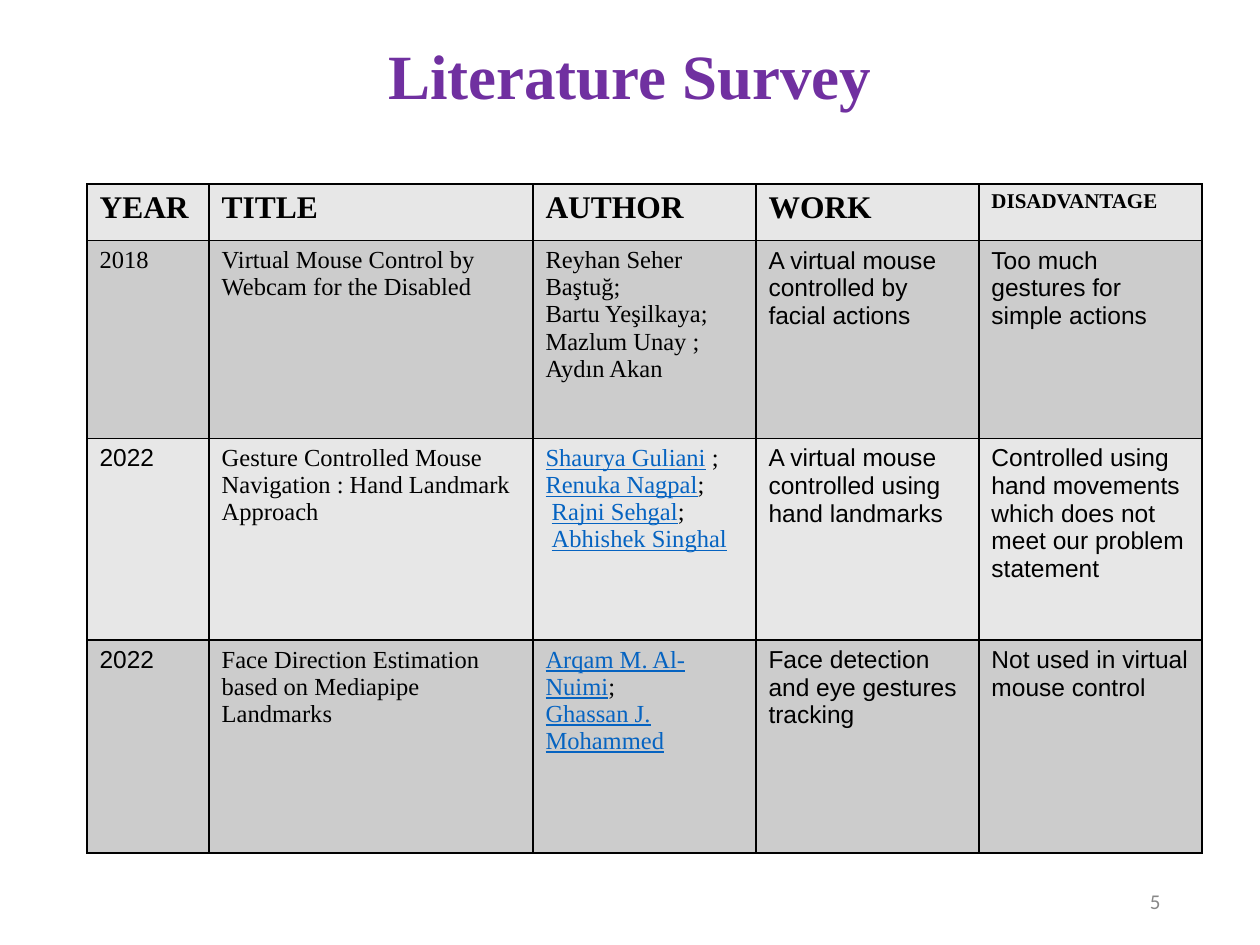
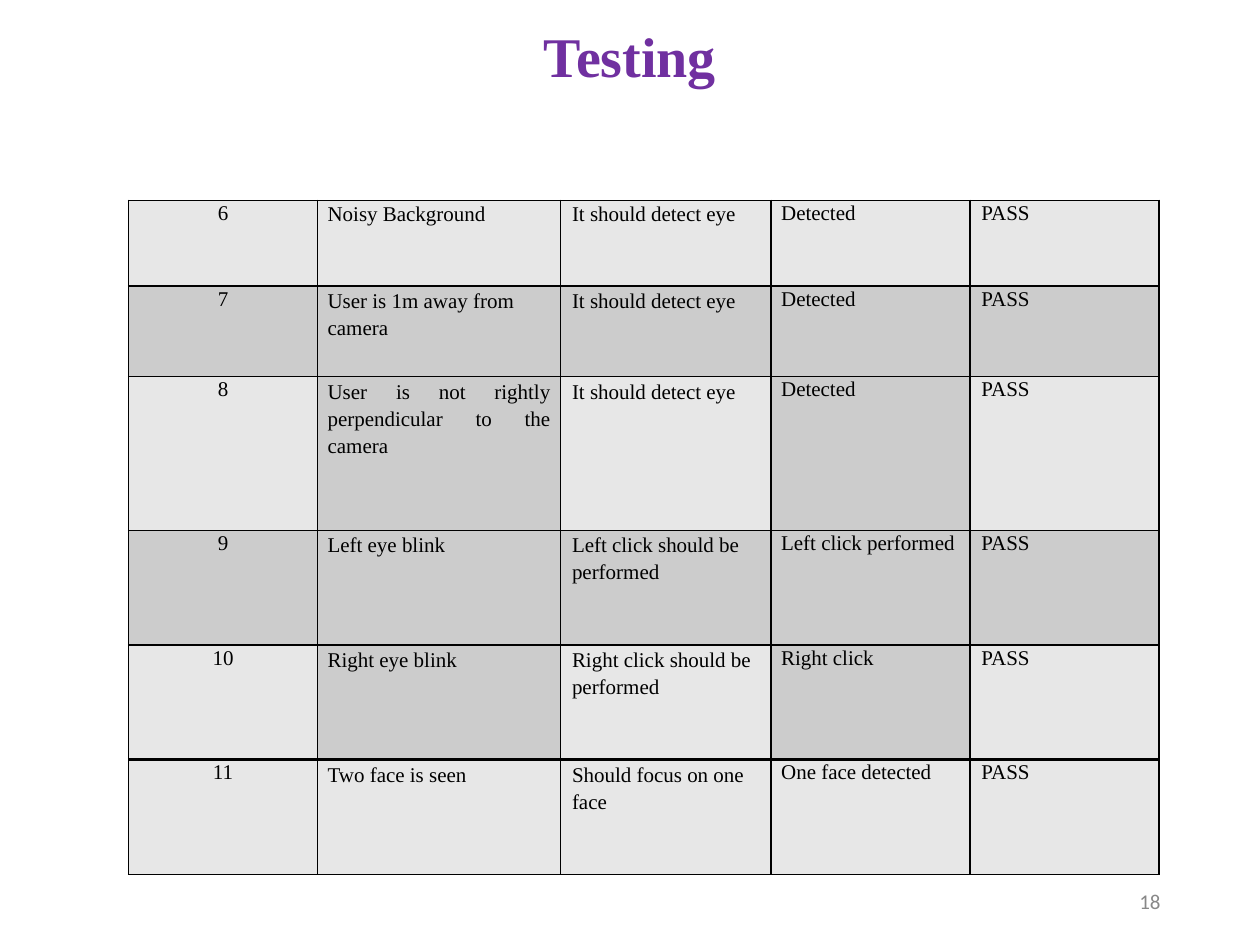
from dataclasses import dataclass

from lxml.etree import SubElement
from pptx import Presentation
from pptx.dml.color import RGBColor
from pptx.enum.text import MSO_ANCHOR, MSO_AUTO_SIZE, PP_ALIGN
from pptx.oxml.ns import qn
from pptx.util import Emu, Inches, Pt

GRID_COLUMNS, GRID_ROWS = 100, 75
TITLE_ONLY = 5


@dataclass(frozen=True)
class Theme:
    title_color: str = "7030A0"
    text_color: str = "000000"
    link_color: str = "0563C1"
    number_color: str = "888888"
    border_color: str = "000000"
    light: str = "E7E7E7"
    dark: str = "CCCCCC"
    serif: str = "Times New Roman"
    sans: str = "Arial"
    number_font: str = "Calibri"
    header_size: int = 18
    body_size: int = 14
    small_size: int = 12


def set_attributes(target, values):
    for name, value in values.items():
        setattr(target, name, value)


class SlideBuilder:
    """Keeps the theme and the current slide; positions are in grid columns and rows."""

    def __init__(self, presentation, theme):
        self.presentation = presentation
        self.theme = theme
        self.slide = None

    def across(self, columns):
        return Emu(round(self.presentation.slide_width * columns / GRID_COLUMNS))

    def down(self, rows):
        return Emu(round(self.presentation.slide_height * rows / GRID_ROWS))

    def box(self, left, top, width, height):
        return self.across(left), self.down(top), self.across(width), self.down(height)

    def start(self, title, top, size, number):
        layout = self.presentation.slide_layouts[TITLE_ONLY]
        self.slide = self.presentation.slides.add_slide(layout)
        self.title(title, top, size)
        self.page_number(number)

    def run(self, paragraph, text, color, **font_format):
        run = paragraph.add_run()
        run.text = text
        set_attributes(run.font, font_format)
        run.font.color.rgb = RGBColor.from_string(color)

    def line(self, shape, text, color, alignment, spacing, **font_format):
        """Fill a shape with one line of text, centred vertically."""
        frame = shape.text_frame
        set_attributes(frame, {"word_wrap": True, "auto_size": MSO_AUTO_SIZE.NONE,
                               "vertical_anchor": MSO_ANCHOR.MIDDLE})
        paragraph = frame.paragraphs[0]
        set_attributes(paragraph, {"alignment": alignment, "line_spacing": spacing})
        self.run(paragraph, text, color, **font_format)

    def title(self, text, top, size):
        shape = self.slide.shapes.title
        left, top, width, height = self.box(6.9, top, 86.2, 5.8)
        set_attributes(shape, {"left": left, "top": top, "width": width, "height": height})
        self.line(shape, text, self.theme.title_color, PP_ALIGN.CENTER, 0.9,
                  name=self.theme.serif, size=Pt(size), bold=True)

    def page_number(self, number):
        shape = self.slide.shapes.add_textbox(*self.box(70.6, 69.5, 22.5, 4))
        self.line(shape, str(number), self.theme.number_color, PP_ALIGN.RIGHT, 1.0,
                  name=self.theme.number_font, size=Pt(self.theme.small_size))

    def table(self, left, top, widths, heights, rows, shades, format_of):
        """Shades has a letter per cell, L or D; format_of gives the formats of a cell."""
        frame = self.slide.shapes.add_table(
            len(rows), len(widths), *self.box(left, top, sum(widths), sum(heights)))
        table = frame.table
        set_attributes(table, {"first_row": False, "horz_banding": False})
        for column, width in zip(table.columns, widths):
            column.width = self.across(width)
        for row, height in zip(table.rows, heights):
            row.height = self.down(height)
        for row_index, texts in enumerate(rows):
            for column_index, text in enumerate(texts):
                cell = table.cell(row_index, column_index)
                shade = shades[row_index][column_index]
                self.cell(cell, text, shade, **format_of(row_index, column_index))

    def cell(self, cell, text, shade, font, paragraph=None, margins=None, top_border=1):
        set_attributes(cell, margins or {})
        for index, line in enumerate(text.split("\n")):
            frame = cell.text_frame
            target = frame.add_paragraph() if index else frame.paragraphs[0]
            set_attributes(target, paragraph or {})
            self.marked_line(target, line, font)
        self.borders(cell, top_border)
        cell.fill.solid()
        color = self.theme.light if shade == "L" else self.theme.dark
        cell.fill.fore_color.rgb = RGBColor.from_string(color)

    def marked_line(self, paragraph, line, font):
        """Write a line in which bars enclose the names shown in link style."""
        for index, piece in enumerate(line.split("|")):
            linked = index % 2 == 1
            color = self.theme.link_color if linked else self.theme.text_color
            if piece:
                self.run(paragraph, piece, color, underline=linked, **font)

    def borders(self, cell, top_border):
        properties = cell._tc.get_or_add_tcPr()
        for side, points in {"L": 1, "R": 1, "T": top_border, "B": 1}.items():
            border = SubElement(properties, qn(f"a:ln{side}"), w=str(Pt(points)))
            fill = SubElement(border, qn("a:solidFill"))
            SubElement(fill, qn("a:srgbClr"), val=self.theme.border_color)


def build_literature_survey(builder):
    theme = builder.theme
    papers = [
        ["YEAR", "TITLE", "AUTHOR", "WORK", "DISADVANTAGE"],
        ["2018", "Virtual Mouse Control by Webcam for the Disabled",
         "Reyhan Seher Baştuğ;\nBartu Yeşilkaya; Mazlum Unay ;\nAydın Akan",
         "A virtual mouse controlled by facial actions",
         "Too much gestures for simple actions"],
        ["2022", "Gesture Controlled Mouse Navigation : Hand Landmark Approach",
         "|Shaurya Guliani| ;\n|Renuka Nagpal|;\n |Rajni Sehgal|;\n |Abhishek Singhal|",
         "A virtual mouse controlled using hand landmarks",
         "Controlled using hand movements which does not meet our problem statement"],
        ["2022", "Face Direction Estimation based on Mediapipe Landmarks",
         "|Arqam M. Al-Nuimi|;\n|Ghassan J. Mohammed|",
         "Face detection and eye gestures tracking",
         "Not used in virtual mouse control"],
    ]

    def paper_format(row, column):
        if row == 0:
            size = theme.small_size if column == 4 else theme.header_size
            return {"font": {"name": theme.serif, "size": Pt(size), "bold": True}}
        sans = column >= 3 or (column == 0 and row > 1)
        return {"font": {"name": theme.sans if sans else theme.serif,
                         "size": Pt(theme.body_size), "bold": False}}

    builder.start("Literature Survey", 3.4, 36, 5)
    builder.table(6.9, 14.6, [9.7, 25.7, 17.7, 17.7, 17.7], [4.5, 15.7, 16, 16.9],
                  papers, ["LLLLL", "DDDDD"] * 2, paper_format)


def build_testing(builder):
    theme = builder.theme
    checks = [
        ["Noisy Background", "It should detect eye", "Detected"],
        ["User is 1m away from camera", "It should detect eye", "Detected"],
        ["User is not rightly perpendicular to the camera", "It should detect eye",
         "Detected"],
        ["Left eye blink", "Left click should be performed", "Left click performed"],
        ["Right eye blink", "Right click should be performed", "Right click"],
        ["Two face is seen", "Should focus on one face", "One face detected"],
    ]
    rows = [[str(number), *check, "PASS"] for number, check in enumerate(checks, 6)]
    side_margins = [0, 0.08, 0.09, 0.08, 0.09]

    def check_format(row, column):
        alignment = PP_ALIGN.LEFT
        if column == 0:
            alignment = PP_ALIGN.CENTER
        elif column == 1 and row >= 2:
            alignment = PP_ALIGN.JUSTIFY
        spacing = 1.07
        if column in (1, 2):
            spacing = 1.16 if row else 1.11
        side = Inches(side_margins[column])
        return {
            "font": {"name": theme.serif, "size": Pt(theme.small_size), "bold": False},
            "paragraph": {"alignment": alignment, "line_spacing": spacing,
                          "space_before": Pt(8.7)},
            "margins": {"margin_left": side, "margin_right": side,
                        "margin_top": 0, "margin_bottom": 0},
            "top_border": 2 if row == len(rows) - 1 else 1,
        }

    builder.start("Testing", 1.8, 32, 18)
    builder.table(10.2, 15.9, [15, 19.3, 16.7, 15.8, 15], [6.8, 7.2, 12.2] + [9.1] * 3,
                  rows, ["LLLLL", "DDDDD", "LDLDL", "DDDDD", "LDLDL", "LLLLL"],
                  check_format)


def main():
    presentation = Presentation()
    presentation.slide_width, presentation.slide_height = Inches(10), Inches(7.5)
    builder = SlideBuilder(presentation, Theme())
    build_literature_survey(builder)
    build_testing(builder)
    presentation.save("out.pptx")


if __name__ == "__main__":
    main()
